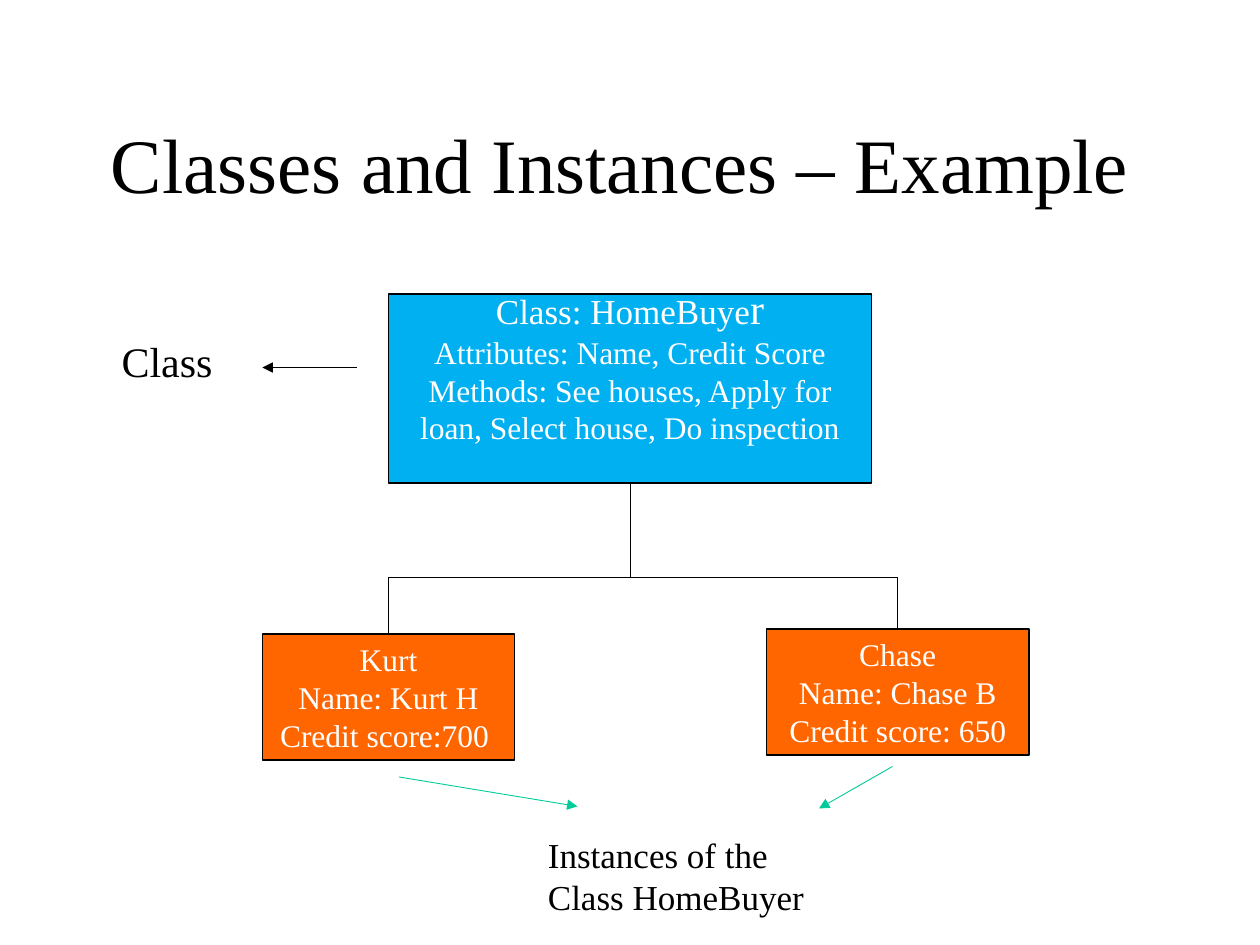
from dataclasses import dataclass

from lxml import etree
from pptx import Presentation
from pptx.dml.color import RGBColor
from pptx.enum.shapes import MSO_CONNECTOR, MSO_SHAPE
from pptx.enum.text import MSO_ANCHOR, PP_ALIGN
from pptx.oxml.ns import qn
from pptx.util import Inches, Pt

RECT, LINE = MSO_SHAPE.RECTANGLE, MSO_CONNECTOR.STRAIGHT
TOP, MIDDLE = MSO_ANCHOR.TOP, MSO_ANCHOR.MIDDLE
LEFT, CENTER = PP_ALIGN.LEFT, PP_ALIGN.CENTER

BLACK = RGBColor(0x00, 0x00, 0x00)
WHITE = RGBColor(0xFF, 0xFF, 0xFF)
BLUE = RGBColor(0x00, 0xB0, 0xF0)
ORANGE = RGBColor(0xFF, 0x66, 0x00)
GREEN = RGBColor(0x00, 0xCC, 0x99)
FACE = "Times New Roman"

# Grid of 120 columns by 90 rows, twelve to the inch
UNIT = Inches(1) / 12
COLS, ROWS = 120, 90


@dataclass
class Area:
    col: float
    row: float
    wide: float
    high: float

    @property
    def mid(self) -> float:
        return self.col + self.wide / 2

    @property
    def base(self) -> float:
        return self.row + self.high


@dataclass
class Box:
    area: Area
    fill: RGBColor
    lines: list
    foot: float = 0.6  # bottom inset in rows


@dataclass
class Label:
    area: Area
    lines: list
    align: PP_ALIGN = LEFT
    anchor: MSO_ANCHOR = TOP


@dataclass
class Link:
    start: tuple
    end: tuple
    color: RGBColor = BLACK
    arrow: bool = False


def grid(*cells: float) -> list:
    return [round(cell * UNIT) for cell in cells]


def place(area: Area) -> list:
    return grid(area.col, area.row, area.wide, area.high)


def write(frame, lines: list, color: RGBColor, align, anchor) -> None:
    """Each line is a list of (text, size) runs."""
    frame.word_wrap = True
    frame.vertical_anchor = anchor
    for i, line in enumerate(lines):
        para = frame.paragraphs[0] if i == 0 else frame.add_paragraph()
        para.alignment = align
        for text, size in line:
            run = para.add_run()
            run.text = text
            run.font.color.rgb = color
            for key, value in {"name": FACE, "size": Pt(size)}.items():
                setattr(run.font, key, value)


def draw_box(slide, box: Box) -> None:
    shape = slide.shapes.add_shape(RECT, *place(box.area))
    shape.shadow.inherit = False
    shape.fill.solid()
    shape.fill.fore_color.rgb = box.fill
    shape.line.color.rgb = BLACK
    shape.line.width = Pt(1)
    frame = shape.text_frame
    frame.margin_bottom = grid(box.foot)[0]
    write(frame, box.lines, WHITE, CENTER, MIDDLE)


def draw_label(slide, label: Label) -> None:
    frame = slide.shapes.add_textbox(*place(label.area)).text_frame
    write(frame, label.lines, BLACK, label.align, label.anchor)


def draw_link(slide, link: Link) -> None:
    wire = slide.shapes.add_connector(LINE, *grid(*link.start, *link.end))
    wire.line.color.rgb = link.color
    wire.line.width = Pt(0.5)
    if link.arrow:
        etree.SubElement(wire.line._get_or_add_ln(), qn("a:tailEnd"), type="triangle")
    etree.SubElement(wire._element.spPr, qn("a:effectLst"))


# Areas of the class and its two instances
HOME = Area(37, 28, 46, 18)
KURT = Area(25, 60.4, 24, 12)
CHASE = Area(73, 59.9, 25, 12)
FORK = 55

BOXES = [
    Box(HOME, BLUE, [
        [("Class: HomeBuye", 20), ("r", 24)],
        [("Attributes: Name, Credit Score", 18)],
        [("Methods: See houses, Apply for loan, Select house, Do inspection", 18)],
    ], foot=5.2),
    Box(KURT, ORANGE, [
        [("Kurt", 18)], [("Name: Kurt H", 18)], [("Credit score:700 ", 18)],
    ]),
    Box(CHASE, ORANGE, [
        [("Chase", 18)], [("Name: Chase B", 18)], [("Credit score: 650", 18)],
    ]),
]

LABELS = [
    Label(Area(9, 8, 102, 15), [[("Classes and Instances – Example ", 44)]],
          CENTER, MIDDLE),
    Label(Area(10.4, 31.4, 11.8, 6), [[("Class", 24)]]),
    Label(Area(51, 78.8, 40, 9.2),
          [[("Instances of the", 20)], [("Class HomeBuyer", 20)]]),
]

LINKS = [
    # Tree from the class down to its instances
    Link((HOME.mid, HOME.base), (HOME.mid, FORK)),
    Link((KURT.mid, FORK), (CHASE.mid, FORK)),
    *[Link((kid.mid, FORK), (kid.mid, kid.row)) for kid in (KURT, CHASE)],
    # Arrows to the labels
    Link((34, 35), (25, 35), arrow=True),
    Link((85, 73), (78, 77), GREEN, True),
    Link((38, 74), (55, 76.8), GREEN, True),
]


def main() -> None:
    deck = Presentation()
    deck.slide_width, deck.slide_height = grid(COLS, ROWS)
    slide = deck.slides.add_slide(deck.slide_layouts[6])
    for draw, parts in ((draw_box, BOXES), (draw_label, LABELS), (draw_link, LINKS)):
        for part in parts:
            draw(slide, part)
    deck.save("out.pptx")


if __name__ == "__main__":
    main()
